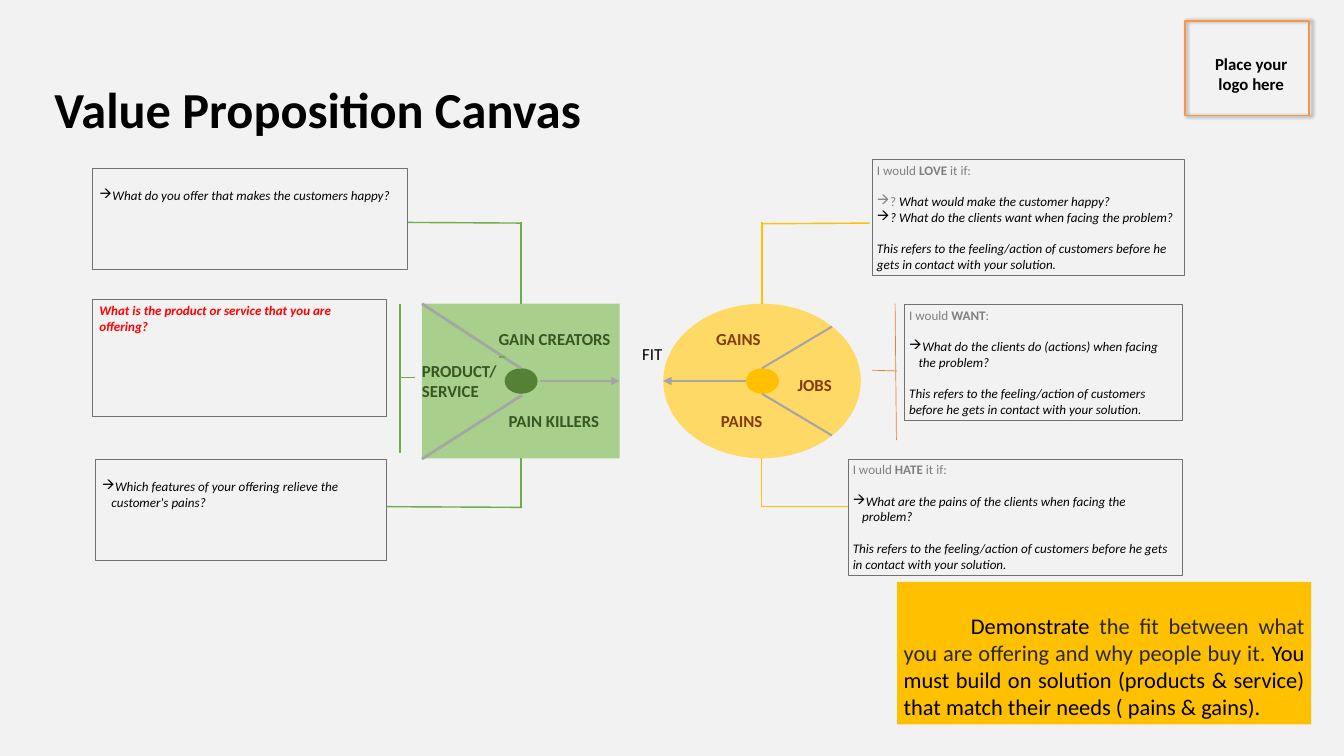
from lxml import etree
from pptx import Presentation
from pptx.dml.color import RGBColor
from pptx.enum.shapes import MSO_CONNECTOR as Link, MSO_SHAPE as Preset
from pptx.enum.text import MSO_ANCHOR as Anchor, MSO_AUTO_SIZE as AutoSize, PP_ALIGN as Align
from pptx.oxml import parse_xml
from pptx.oxml.ns import nsdecls, qn
from pptx.util import Inches, Pt

rgb = RGBColor.from_string
GREEN, YELLOW, ORANGE, GREY = "70AD47", "FFC000", "ED7D31", "A5A5A5"
BLACK, MUTED, DARK = "000000", "7F7F7F", "292929"
BLANK_LINE = 17  # points taken by one 14 pt line
ARROW_BULLET = "à"  # a right arrow in Wingdings

deck = Presentation()
deck.slide_width, deck.slide_height = Inches(20), Inches(11.25)
page = deck.slides.add_slide(deck.slide_layouts[5])
page.background.fill.solid()
page.background.fill.fore_color.rgb = rgb("F2F2F2")


def draw_line(start, end, color, width, arrow=False):
    line = page.shapes.add_connector(Link.STRAIGHT, *map(Inches, start + end))
    line.line.color.rgb = rgb(color)
    line.line.width = Pt(width)
    properties = line._element.spPr
    if arrow:
        etree.SubElement(line.line._get_or_add_ln(), qn("a:tailEnd"), type="triangle")
    etree.SubElement(properties, qn("a:effectLst"))
    return line


def add_block(shape, place, fill=None, outline=None, width=0.75, margins=(0.1, 0.05)):
    """Add a preset shape without shadow, ready for text at its top left."""
    block = page.shapes.add_shape(shape, *map(Inches, place))
    block.shadow.inherit = False
    if fill:
        block.fill.solid()
        block.fill.fore_color.rgb = rgb(fill)
    else:
        block.fill.background()
    if outline:
        block.line.color.rgb = rgb(outline)
        block.line.width = Pt(width)
    else:
        block.line.fill.background()
    frame = block.text_frame
    frame.word_wrap = True
    frame.vertical_anchor = Anchor.TOP
    frame.margin_left = frame.margin_right = Inches(margins[0])
    frame.margin_top, frame.margin_bottom = Inches(margins[1]), Inches(0.04)
    frame.paragraphs[0].alignment = Align.LEFT
    return block


# Title
title = page.shapes.title
title.left, title.top, title.width, title.height = map(Inches, (0.81, 0.6, 13.49, 1.12))
frame = title.text_frame
frame.text = "Value Proposition Canvas"
frame.auto_size = AutoSize.NONE
frame.vertical_anchor = Anchor.TOP
frame.margin_left = frame.margin_right = frame.margin_top = frame.margin_bottom = 0
para = frame.paragraphs[0]
para.alignment = Align.LEFT
para.line_spacing = 1.62
para.font.name, para.font.size, para.font.bold = "Calibri", Pt(54), True
para.font.color.rgb = rgb(BLACK)

# Logo frame
logo_frame = add_block(Preset.RECTANGLE, (17.63, 0.31, 1.85, 1.41), outline="F79646", width=2)
logo_frame._element.spPr.find(qn("a:effectLst")).append(parse_xml(
    f'<a:outerShdw {nsdecls("a")} blurRad="50800" dist="38100" dir="0" rotWithShape="0">'
    '<a:srgbClr val="000000"><a:alpha val="40000"/></a:srgbClr></a:outerShdw>'))

# Product square and customer circle
square = add_block(Preset.RECTANGLE, (6.28, 4.52, 2.94, 2.3), "A8D08C")
add_block(Preset.FLOWCHART_CONNECTOR, (9.87, 4.52, 2.94, 2.3), "FFD966")
add_block(Preset.FLOWCHART_CONNECTOR, (7.51, 5.48, 0.49, 0.38), "548135")
add_block(Preset.FLOWCHART_CONNECTOR, (11.1, 5.48, 0.49, 0.38), YELLOW)

draw_line((8.03, 5.67), (9.22, 5.67), GREY, 3, arrow=True).end_connect(square, 3)
draw_line((11.1, 5.67), (9.87, 5.67), GREY, 3, arrow=True)
for start, end, width in [
    ((7.75, 5.48), (6.28, 4.52), 3),
    ((7.77, 5.88), (6.28, 6.83), 3),
    ((12.38, 4.86), (11.34, 5.48), 2.25),
    ((12.38, 6.48), (11.34, 5.86), 2.25),
]:
    draw_line(start, end, GREY, width)

# Links from the note boxes to the two figures
draw_line((7.75, 3.3), (7.75, 4.52), GREEN, 1.5).end_connect(square, 0)
draw_line((7.75, 7.54), (7.75, 6.82), GREEN, 1.5).end_connect(square, 2)
for start, end, color, width in [
    ((7.77, 3.32), (6.07, 3.31), GREEN, 1.5),
    ((7.77, 7.55), (5.75, 7.54), GREEN, 1.5),
    ((7.52, 5.31), (7.43, 5.31), GREEN, 1.5),
    ((5.95, 6.74), (5.95, 4.52), GREEN, 1.5),
    ((6.18, 5.62), (5.95, 5.62), GREEN, 1.5),
    ((11.34, 4.52), (11.34, 3.3), YELLOW, 1.5),
    ((12.94, 3.32), (11.33, 3.33), YELLOW, 1.5),
    ((11.33, 7.54), (11.33, 6.82), YELLOW, 1.5),
    ((12.62, 7.54), (11.33, 7.54), YELLOW, 1.5),
    ((12.98, 5.51), (13.35, 5.52), ORANGE, 0.75),
    ((13.34, 6.55), (13.32, 4.52), ORANGE, 0.75),
]:
    draw_line(start, end, color, width)

# Labels
BROWN, FOREST = "833C0B", "385623"
for text, place, color, bold, align in [
    ("Place your logo here", (17.84, 0.75, 1.56, 0.68), BLACK, True, Align.CENTER),
    ("JOBS", (11.77, 5.52, 1.41, 0.4), BROWN, True, Align.LEFT),
    ("PAINS", (10.63, 6.06, 1.41, 0.4), BROWN, True, Align.LEFT),
    ("GAINS", (10.56, 4.84, 1.41, 0.4), BROWN, True, Align.LEFT),
    ("GAIN CREATORS", (7.32, 4.84, 2.05, 0.4), FOREST, True, Align.LEFT),
    ("PAIN KILLERS", (7.47, 6.06, 2.05, 0.4), FOREST, True, Align.LEFT),
    ("PRODUCT/\nSERVICE", (6.18, 5.32, 2.05, 0.71), FOREST, True, Align.LEFT),
    ("FIT", (8.77, 5.06, 1.87, 0.4), BLACK, False, Align.CENTER),
]:
    label = page.shapes.add_textbox(*map(Inches, place))
    label.text_frame.word_wrap = True
    label.text_frame.text = text
    for para in label.text_frame.paragraphs:
        para.alignment = align
        para.font.name, para.font.size, para.font.bold = "Calibri", Pt(18), bold
        para.font.color.rgb = rgb(color)

# Note boxes: each paragraph is (bullet colour, space before, runs of text, colour, bold, italic)
feeling = (None, BLANK_LINE, [("This refers to the feeling/action of customers before he gets in "
                               "contact with your solution.", BLACK, False, True)])
notes = []
for place, word, ending, points in [
    ((12.98, 2.37, 4.65, 1.73), "LOVE", " it if:", [
        (MUTED, BLANK_LINE, [("?", MUTED, False, False),
                             (" What would make the customer happy?", BLACK, False, True)]),
        (BLACK, 0, [("? What do the clients want when facing the problem?", BLACK, False, True)])]),
    ((13.46, 4.53, 4.13, 1.73), "WANT", ":", [
        (BLACK, BLANK_LINE, [("What do the clients do (actions) when facing the problem?",
                              BLACK, False, True)])]),
    ((12.62, 6.83, 4.97, 1.73), "HATE", " it if:", [
        (BLACK, BLANK_LINE, [("What are the pains of the clients when facing the problem?",
                              BLACK, False, True)])]),
]:
    heading = (None, 0, [("I would ", MUTED, False, False), (word, MUTED, True, False),
                         (ending, MUTED, False, False)])
    notes.append((place, (0.07, 0.04), [heading, *points, feeling]))
for place, top_margin, bullet, text, color, bold in [
    ((1.38, 2.5, 4.68, 1.51), 0.29, BLACK,
     "What do you offer that makes the customers happy?", BLACK, False),
    ((1.38, 4.45, 4.37, 1.75), 0.05, None,
     "What is the product or service that you are offering?", "FF0000", True),
    ((1.42, 6.83, 4.33, 1.51), 0.29, BLACK,
     "Which features of your offering relieve the customer's pains?", BLACK, False),
]:
    notes.append((place, (0.1, top_margin), [(bullet, 0, [(text, color, bold, True)])]))

for place, margins, paragraphs in notes:
    frame = add_block(Preset.RECTANGLE, place, outline="757070", margins=margins).text_frame
    for index, (bullet, space, runs) in enumerate(paragraphs):
        para = frame.add_paragraph() if index else frame.paragraphs[0]
        para.alignment = Align.LEFT
        if bullet:
            properties = para._p.get_or_add_pPr()
            properties.set("marL", str(Inches(0.14)))
            properties.set("indent", str(Inches(-0.14)))
            bullet_color = etree.SubElement(properties, qn("a:buClr"))
            etree.SubElement(bullet_color, qn("a:srgbClr"), val=bullet)
            etree.SubElement(properties, qn("a:buFont"), typeface="Wingdings",
                             pitchFamily="2", charset="2")
            etree.SubElement(properties, qn("a:buChar"), char=ARROW_BULLET)
        if space:
            para.space_before = Pt(space)
        para.font.name, para.font.size = "Calibri", Pt(14)
        for text, color, bold, italic in runs:
            span = para.add_run()
            span.text = text
            span.font.bold, span.font.italic = bold, italic
            span.font.color.rgb = rgb(color)

# Closing message
message = add_block(Preset.RECTANGLE, (13.35, 8.66, 6.16, 2.12), YELLOW, margins=(0.1, 0.45))
para = message.text_frame.paragraphs[0]
para.alignment = Align.JUSTIFY
para._p.get_or_add_pPr().set("indent", str(Inches(1)))
para.font.name, para.font.size = "Calibri", Pt(24)
for text, color in [
    ("Demonstrate ", BLACK),
    ("the fit between what you are offering and why people buy it. ", DARK),
    ("You must build on solution (products & service) that match their needs ( pains & gains).", BLACK),
]:
    span = para.add_run()
    span.text = text
    span.font.color.rgb = rgb(color)

deck.save("out.pptx")
